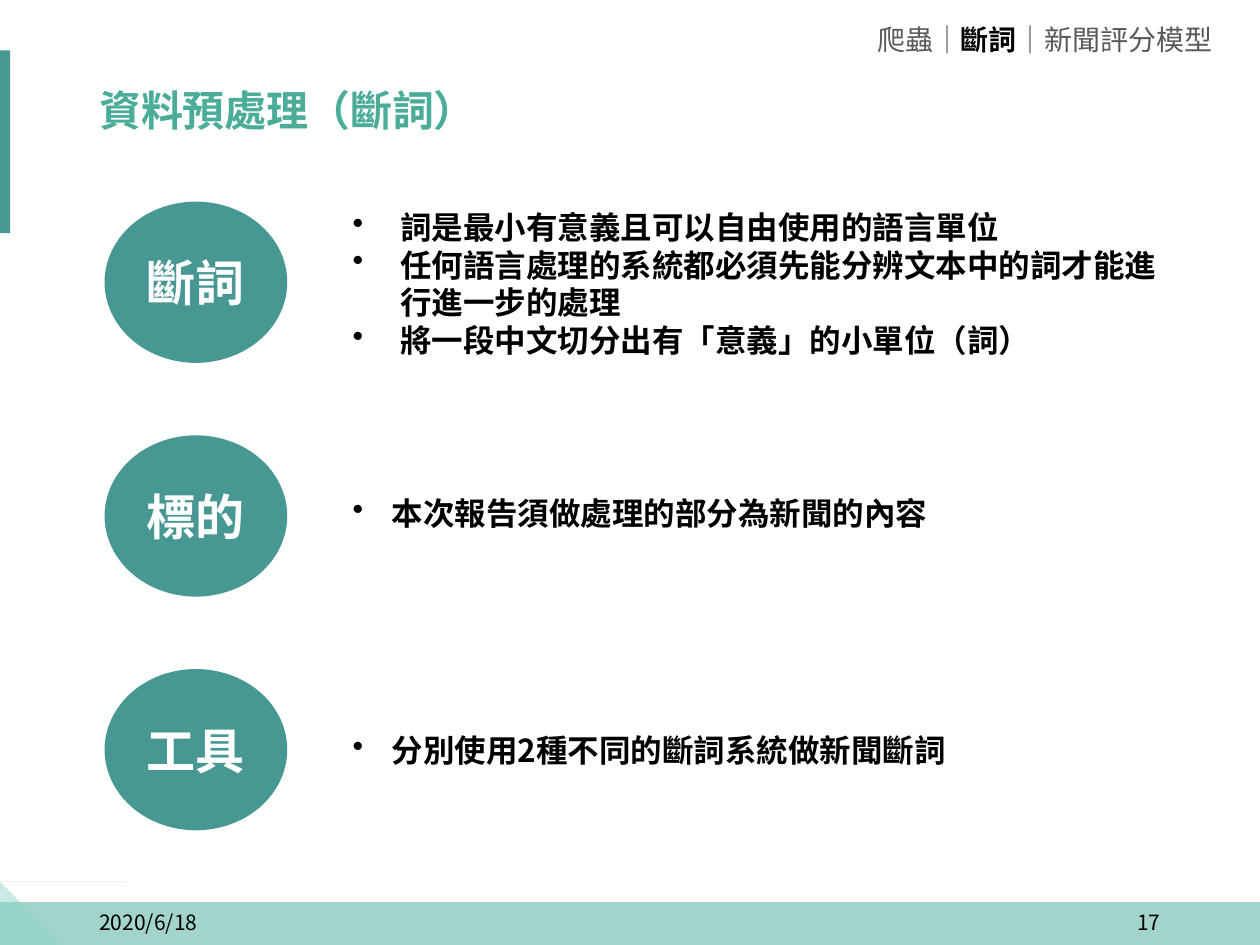
from dataclasses import dataclass
from lxml.etree import SubElement
from pptx import Presentation
from pptx.dml.color import RGBColor
from pptx.enum.shapes import MSO_SHAPE as Shape
from pptx.enum.text import MSO_ANCHOR as Anchor, MSO_AUTO_SIZE as Fit, PP_ALIGN as Align
from pptx.oxml.ns import qn
from pptx.util import Inches, Pt


@dataclass(frozen=True)
class Theme:
    teal: str = "479793"
    green: str = "4AAC99"
    mint: str = "92D4CB"
    gray: str = "595959"
    black: str = "000000"
    white: str = "FFFFFF"
    sans: str = "Noto Sans CJK TC"
    alt: str = "Noto Sans CJK SC"
    title: int = 24
    label: int = 28
    body: int = 18
    nav: int = 16
    foot: int = 12


T = Theme()
W, H = 10, 7.5

TITLE = "資料預處理（斷詞）"
NAV = ["爬蟲", "斷詞", "新聞評分模型"]
ACTIVE = "斷詞"
DATE, PAGE = "2020/6/18", "17"
# label, bullets, drop below row top, box width, box height, hanging indent
ROWS = [
    ("斷詞", ["詞是最小有意義且可以自由使用的語言單位",
            "任何語言處理的系統都必須先能分辨文本中的詞才能進行進一步的處理",
            "將一段中文切分出有「意義」的小單位（詞）"], 0, 6.59, 1.31, 0.38),
    ("標的", ["本次報告須做處理的部分為新聞的內容"], 0.42, 6.4, 0.71, 0.31),
    ("工具", ["分別使用2種不同的斷詞系統做新聞斷詞"], 0.44, 4.95, 0.71, 0.31),
]
MARGIN = 0.69
TOP, PITCH = 1.6, 1.855
OVAL_X, OVAL_W, OVAL_H = 0.83, 1.45, 1.28
TEXT_X = 2.7


def style(font, size, color, face=T.sans, bold=False):
    """Style a font for both Latin and East Asian text; return its XML."""
    font.size, font.bold, font.name = Pt(size), bold, face
    font.color.rgb = RGBColor.from_string(color)
    props = font._rPr
    SubElement(props, qn("a:ea")).set("typeface", face)
    return props


def paint(shape, color, alpha=None):
    shape.shadow.inherit = False
    shape.fill.solid()
    shape.fill.fore_color.rgb = RGBColor.from_string(color)
    shape.line.fill.background()
    if alpha:
        node = shape.fill._xPr.find(".//" + qn("a:srgbClr"))
        SubElement(node, qn("a:alpha")).set("val", str(alpha * 1000))
    return shape


def block(kind, x, y, w, h, color, alpha=None):
    box = slide.shapes.add_shape(kind, Inches(x), Inches(y), Inches(w), Inches(h))
    return paint(box, color, alpha)


def wedge(points, color, alpha=None):
    path = slide.shapes.build_freeform(*points[0], scale=Inches(1))
    path.add_line_segments(points[1:], close=True)
    paint(path.convert_to_shape(), color, alpha)


def frame(x, y, w, h, anchor=Anchor.TOP, wrap=True):
    box = slide.shapes.add_textbox(Inches(x), Inches(y), Inches(w), Inches(h))
    text = box.text_frame
    text.word_wrap, text.vertical_anchor = wrap, anchor
    return text


def write(para, words, align, *look):
    para.text, para.alignment = words, align
    return style(para.font, *look)


def bullet(para, indent):
    props = para._p.get_or_add_pPr()
    props.set("marL", str(Inches(indent)))
    props.set("indent", str(-Inches(indent)))
    mark = props.makeelement(qn("a:buChar"), {"char": "•"})
    props.find(qn("a:defRPr")).addprevious(mark)


def backdrop():
    block(Shape.RECTANGLE, 0, 7.16, W, 0.34, T.green, 51)
    wedge([(0, 6.61), (MARGIN, H), (0, H)], T.mint, 50)
    wedge([(0.54, 6.85), (0.54, 7.47), (0.16, 7.16)], T.teal)
    block(Shape.RECTANGLE, -0.08, 0.4, 0.16, 1.45, T.teal)
    wide = 2.25
    for x, words, align in [(MARGIN, DATE, Align.LEFT),
                            (W - MARGIN - wide, PAGE, Align.RIGHT)]:
        text = frame(x, 7.12, wide, 0.4, Anchor.MIDDLE)
        write(text.paragraphs[0], words, align, T.foot, T.black)


def header():
    para = frame(6.83, 0.13, 2.89, 0.37, wrap=False).paragraphs[0]
    para.alignment = Align.RIGHT
    for i, name in enumerate(NAV):
        if i:
            bar = para.add_run()
            bar.text = "｜"
            style(bar.font, T.nav, T.gray, T.alt)
        run = para.add_run()
        run.text = name
        on = name == ACTIVE
        style(run.font, T.nav, T.black if on else T.gray, T.sans, on)
    para = frame(MARGIN, 0.57, W - 2 * MARGIN, 0.66, Anchor.MIDDLE).paragraphs[0]
    para.line_spacing = 0.9
    props = write(para, TITLE, Align.LEFT, T.title, T.green, T.alt, True)
    props.set("spc", "-10")


def topics():
    for i, (label, items, drop, w, h, indent) in enumerate(ROWS):
        y = TOP + i * PITCH
        oval = block(Shape.OVAL, OVAL_X, y, OVAL_W, OVAL_H, T.teal).text_frame
        oval.vertical_anchor = Anchor.MIDDLE
        write(oval.paragraphs[0], label, Align.CENTER, T.label, T.white, T.alt, True)
        text = frame(TEXT_X, y + drop, w, h)
        text.auto_size = Fit.SHAPE_TO_FIT_TEXT
        for k, item in enumerate(items):
            para = text.add_paragraph() if k else text.paragraphs[0]
            write(para, item, Align.LEFT, T.body, T.black, T.sans, True)
            bullet(para, indent)


deck = Presentation()
deck.slide_width, deck.slide_height = Inches(W), Inches(H)
slide = deck.slides.add_slide(deck.slide_layouts[6])
backdrop()
header()
topics()
deck.save("out.pptx")
